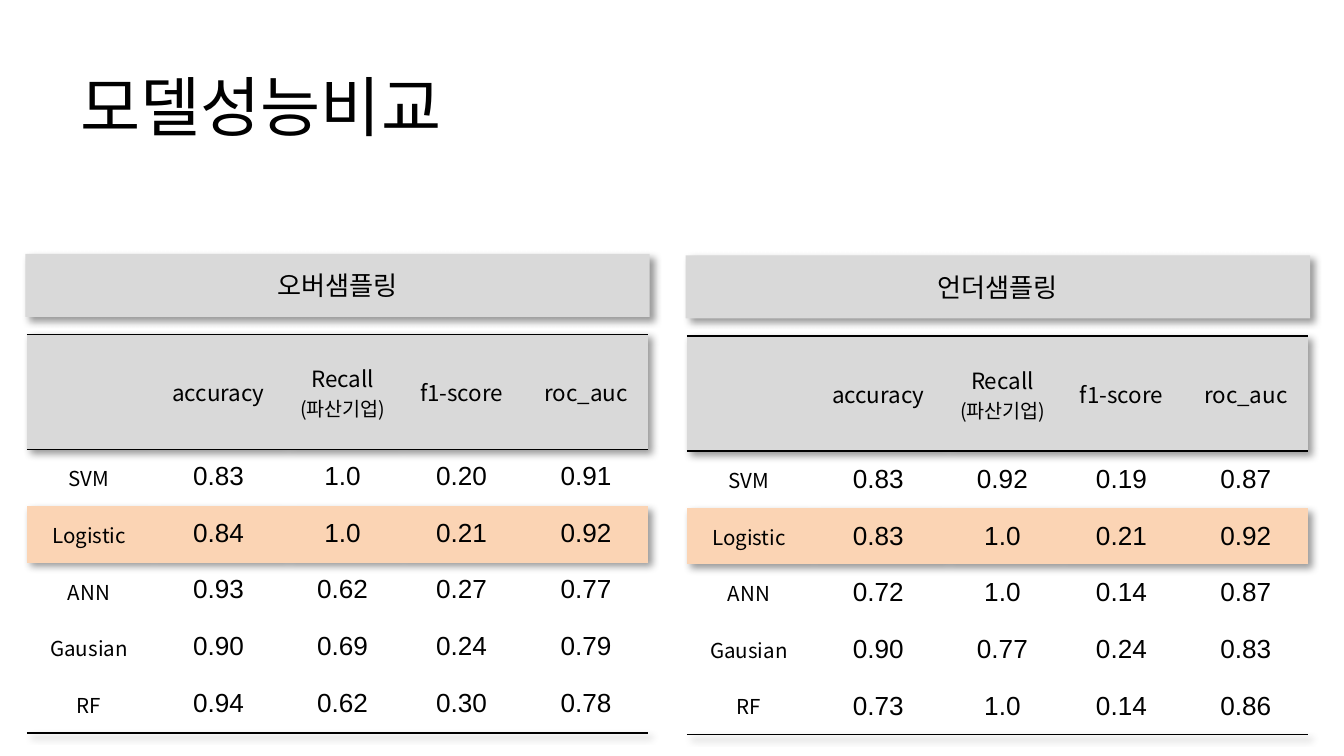
from lxml import etree
from pptx import Presentation
from pptx import util as u
from pptx.dml.color import RGBColor
from pptx.enum import shapes, text
from pptx.oxml import parse_xml
from pptx.oxml.ns import qn

BLACK = RGBColor(0x00, 0x00, 0x00)
GRAY = RGBColor(0xD9, 0xD9, 0xD9)
PEACH = RGBColor(0xFB, 0xD4, 0xB4)
KR = "Noto Sans CJK KR"
NS = 'xmlns:a="http://schemas.openxmlformats.org/drawingml/2006/main"'
NO_GRID = "{2D5ABB26-0587-4C30-8999-92F81FD0307C}"
SHADOW = (f'<a:effectLst {NS}><a:outerShdw blurRad="50800" dist="38100" dir="2700000" '
          'algn="tl" rotWithShape="0"><a:srgbClr val="000000"><a:alpha val="40000"/>'
          '</a:srgbClr></a:outerShdw></a:effectLst>')
RULE = '<a:solidFill><a:srgbClr val="000000"/></a:solidFill>'
NO_RULE = '<a:noFill/>'


def add_run(p, words, size, font=KR):
    r = p.add_run()
    r.text = words
    r.font.size = u.Pt(size)
    r.font.name = font
    r.font.color.rgb = BLACK
    ea = etree.SubElement(r.font._element, qn("a:ea"))
    ea.set("typeface", font)


prs = Presentation()
prs.slide_width, prs.slide_height = u.Cm(25.4), u.Cm(14.29)
s = prs.slides.add_slide(prs.slide_layouts[6])

# Title
tf = s.shapes.add_textbox(u.Cm(1.27), u.Cm(1.02), u.Cm(22.86), u.Cm(1.93)).text_frame
tf.word_wrap = True
tf.vertical_anchor = text.MSO_ANCHOR.MIDDLE
add_run(tf.paragraphs[0], "모델성능비교", 35)

# Scores by sampling method
header = ["", "accuracy", "Recall", "f1-score", "roc_auc"]
models = ["SVM", "Logistic", "ANN", "Gausian", "RF"]
col_widths = [2.35, 2.54, 2.15, 2.35, 2.35]
head_h, row_h = 2.18, 1.07
TOP, MIDDLE = text.MSO_ANCHOR.TOP, text.MSO_ANCHOR.MIDDLE
panels = [
    ("오버샘플링", 0.48, 4.8, 0.51, 6.32, TOP,
     ["0.83 1.0 0.20 0.91", "0.84 1.0 0.21 0.92", "0.93 0.62 0.27 0.77",
      "0.90 0.69 0.24 0.79", "0.94 0.62 0.30 0.78"]),
    ("언더샘플링", 12.96, 4.83, 12.98, 6.35, MIDDLE,
     ["0.83 0.92 0.19 0.87", "0.83 1.0 0.21 0.92", "0.72 1.0 0.14 0.87",
      "0.90 0.77 0.24 0.83", "0.73 1.0 0.14 0.86"]),
]

for name, bar_x, bar_y, x, y, anchor, scores in panels:
    # Heading bar
    sp = s.shapes.add_shape(shapes.MSO_SHAPE.RECTANGLE, u.Cm(bar_x), u.Cm(bar_y),
                            u.Cm(11.8), u.Cm(1.19))
    sp.fill.solid()
    sp.fill.fore_color.rgb = GRAY
    sp.line.fill.background()
    sp._element.spPr.append(parse_xml(SHADOW))
    tf = sp.text_frame
    tf.vertical_anchor = MIDDLE
    tf.paragraphs[0].alignment = text.PP_ALIGN.CENTER
    add_run(tf.paragraphs[0], name, 14)

    # Table without style, with a shadow
    rows = [header] + [[m] + v.split() for m, v in zip(models, scores)]
    tbl = s.shapes.add_table(len(rows), len(header), u.Cm(x), u.Cm(y),
                             u.Cm(sum(col_widths)), u.Cm(head_h + 5 * row_h)).table
    tbl.first_row = tbl.horz_banding = False
    tblPr = tbl._tbl.tblPr
    tblPr.find(qn("a:tableStyleId")).text = NO_GRID
    tblPr.insert(0, parse_xml(SHADOW))
    for col, w in zip(tbl.columns, col_widths):
        col.width = u.Cm(w)

    for i, row in enumerate(rows):
        tbl.rows[i].height = u.Cm(row_h if i else head_h)
        for j, value in enumerate(row):
            cell = tbl.cell(i, j)
            is_score = i > 0 and j > 0
            cell.margin_left = cell.margin_right = u.Cm(0.18 if is_score else 0.25)
            cell.margin_top = cell.margin_bottom = u.Cm(0.23 if is_score else 0.25)
            cell.vertical_anchor = MIDDLE if i == 0 else anchor if is_score else TOP

            # Fill, then rules around the header and below the last row
            if i in (0, 2):
                cell.fill.solid()
                cell.fill.fore_color.rgb = PEACH if i else GRAY
            else:
                cell.fill.background()
            edges = [("lnT", i in (0, 1)), ("lnB", i in (0, len(rows) - 1))]
            for n, (tag, ruled) in enumerate(edges):
                cell._tc.tcPr.insert(n, parse_xml(
                    f'<a:{tag} {NS} w="12700">{RULE if ruled else NO_RULE}</a:{tag}>'))

            # Text
            p = cell.text_frame.paragraphs[0]
            p.alignment = text.PP_ALIGN.CENTER
            if is_score:
                add_run(p, value, 14, "Arial")
            elif value:
                add_run(p, value, 11 if i else 12)
            if value == "Recall":
                p = cell.text_frame.add_paragraph()
                p.alignment = text.PP_ALIGN.CENTER
                add_run(p, "(파산기업)", 10.5)

prs.save("out.pptx")
